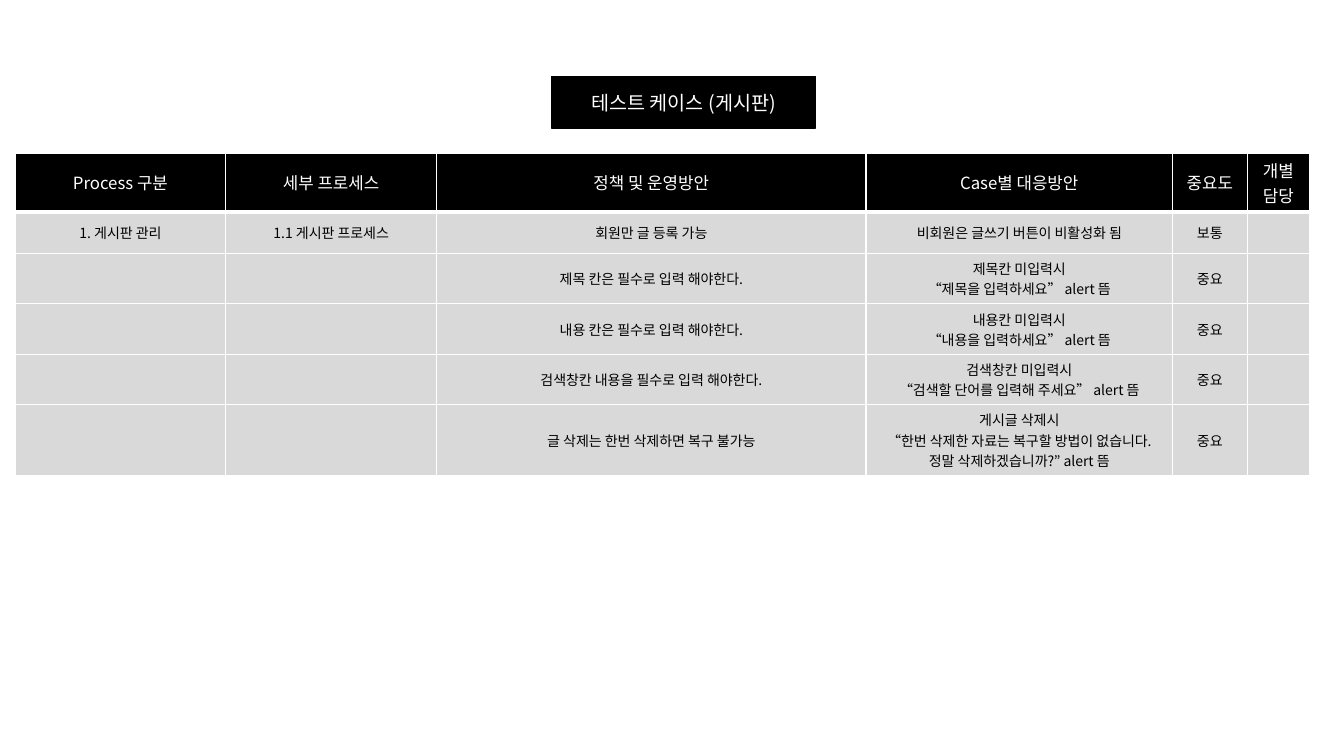
from pptx import Presentation
from pptx.dml.color import RGBColor
from pptx.enum.text import MSO_ANCHOR, PP_ALIGN
from pptx.oxml.ns import qn
from pptx.util import Inches, Pt
from lxml import etree

MIDDLE, CENTER = MSO_ANCHOR.MIDDLE, PP_ALIGN.CENTER
FONT = "Noto Sans CJK KR"
BLACK, WHITE, GREY = "000000", "FFFFFF", "D9D9D9"
TITLE_ONLY = 5

COLS = [2.09, 2.09, 4.26, 3.04, 0.74, 0.62]
ROW = 0.41
HEAD = ["Process 구분", "세부 프로세스", "정책 및 운영방안", "Case별 대응방안",
        "중요도", "개별담당"]
CASES = [
    ["1. 게시판 관리", "1.1 게시판 프로세스", "회원만 글 등록 가능",
     "비회원은 글쓰기 버튼이 비활성화 됨", "보통", ""],
    ["", "", "제목 칸은 필수로 입력 해야한다.",
     "제목칸 미입력시\n“제목을 입력하세요” alert 뜸", "중요", ""],
    ["", "", "내용 칸은 필수로 입력 해야한다.",
     "내용칸 미입력시\n“내용을 입력하세요” alert 뜸", "중요", ""],
    ["", "", "검색창칸 내용을 필수로 입력 해야한다.",
     "검색창칸 미입력시\n“검색할 단어를 입력해 주세요” alert 뜸", "중요", ""],
    ["", "", "글 삭제는 한번 삭제하면 복구 불가능",
     "게시글 삭제시\n“한번 삭제한 자료는 복구할 방법이 없습니다.\n"
     "정말 삭제하겠습니까?” alert 뜸", "중요", ""],
]
HEAD_STYLE = {"size": Pt(12), "bold": False, "name": FONT}
BODY_STYLE = {**HEAD_STYLE, "size": Pt(10)}
TITLE_STYLE = {**HEAD_STYLE, "size": Pt(14)}


def paint(target, color):
    """Give a fill a solid colour."""
    target.solid()
    target.fore_color.rgb = RGBColor.from_string(color)


def write(frame, text, style, color):
    """Write centred lines, one paragraph each."""
    for i, line in enumerate(text.split("\n")):
        para = frame.paragraphs[0] if i == 0 else frame.add_paragraph()
        para.alignment = CENTER
        run = para.add_run()
        run.text = line
        for key, value in style.items():
            setattr(run.font, key, value)
        paint(run.font.fill, color)
        # East Asian glyphs take the same font
        latin = run.font._element.find(qn("a:latin"))
        asian = etree.Element(qn("a:ea"), typeface=FONT)
        latin.addnext(asian)


def rule(cell, widths):
    """Draw white cell borders, widths in points by side."""
    props = cell._tc.get_or_add_tcPr()
    for side, width in widths.items():
        line = etree.SubElement(props, qn("a:ln" + side), w=str(Pt(width)))
        fill = etree.SubElement(line, qn("a:solidFill"))
        etree.SubElement(fill, qn("a:srgbClr"), val=WHITE)


def add_title(slide, box, text):
    title = slide.shapes.title
    title.left, title.top, title.width, title.height = map(Inches, box)
    paint(title.fill, BLACK)
    paint(title.line.fill, BLACK)
    title.line.width = Pt(1)
    frame = title.text_frame
    frame.word_wrap = True
    frame.vertical_anchor = MIDDLE
    write(frame, text, TITLE_STYLE, WHITE)


def add_cases(slide, box):
    rows = [HEAD] + CASES
    table = slide.shapes.add_table(len(rows), len(COLS), *map(Inches, box)).table
    for col, width in zip(table.columns, COLS):
        col.width = Inches(width)
    for r, texts in enumerate(rows):
        table.rows[r].height = Inches(ROW)
        head = r == 0
        for c, text in enumerate(texts):
            cell = table.cell(r, c)
            cell.vertical_anchor = MIDDLE
            rule(cell, {"L": 1, "R": 1, "T": 1, "B": 3 if head else 1})
            paint(cell.fill, BLACK if head else GREY)
            write(cell.text_frame, text, HEAD_STYLE if head else BODY_STYLE,
                  WHITE if head else BLACK)


prs = Presentation()
prs.slide_width, prs.slide_height = Inches(13.33), Inches(7.5)
slide = prs.slides.add_slide(prs.slide_layouts[TITLE_ONLY])

# Heading bar
add_title(slide, (5.47, 0.76, 2.62, 0.51), "테스트 케이스 (게시판)")

# Test case table
add_cases(slide, (0.15, 1.52, sum(COLS), ROW * (len(CASES) + 1)))

prs.save("out.pptx")
